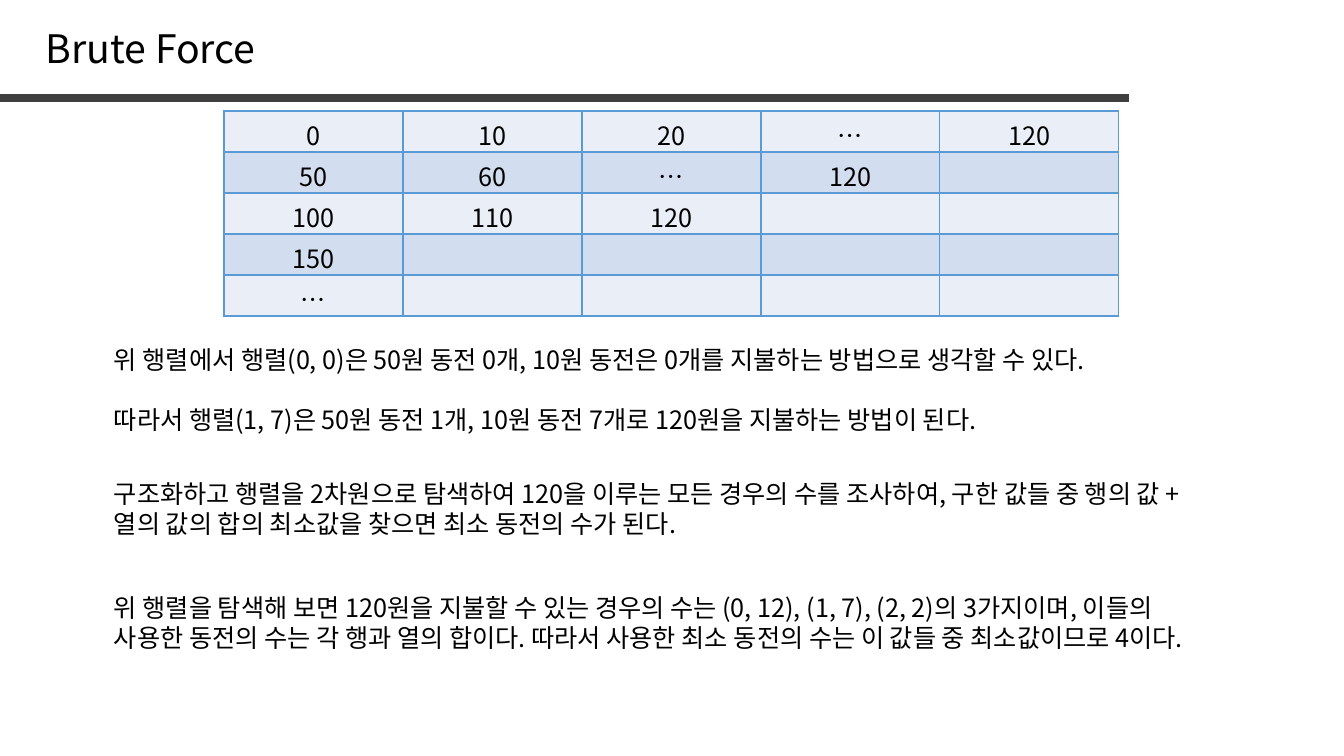
from lxml.etree import SubElement
from pptx import Presentation
from pptx.dml.color import RGBColor
from pptx.enum.shapes import MSO_CONNECTOR as Connector
from pptx.enum.text import MSO_AUTO_SIZE as AutoSize, PP_ALIGN as Align
from pptx.oxml.ns import qn
from pptx.util import Emu, Pt

EMU_PER_INCH, PX_PER_INCH = 914400, 100.8
FONT = "Noto Sans CJK KR"
BLACK, RULE_GREY, GRID_BLUE = "000000", "404040", "5B9BD5"
BANDS = ("EAEFF7", "D2DEEF")

COIN_SUMS = [
    ["0", "10", "20", "…", "120"],
    ["50", "60", "…", "120", ""],
    ["100", "110", "120", "", ""],
    ["150", "", "", "", ""],
    ["…", "", "", "", ""],
]
# Top, height and paragraphs of each explanation
EXPLANATIONS = [
    (339, 102, [
        "위 행렬에서 행렬(0, 0)은 50원 동전 0개, 10원 동전은 0개를 지불하는 방법으로 생각할 수 있다.",
        "따라서 행렬(1, 7)은 50원 동전 1개, 10원 동전 7개로 120원을 지불하는 방법이 된다.",
    ]),
    (473, 72, [
        "구조화하고 행렬을 2차원으로 탐색하여 120을 이루는 모든 경우의 수를 조사하여, "
        "구한 값들 중 행의 값 + 열의 값의 합의 최소값을 찾으면 최소 동전의 수가 된다.",
    ]),
    (587, 72, [
        "위 행렬을 탐색해 보면 120원을 지불할 수 있는 경우의 수는 (0, 12), (1, 7), (2, 2)의 3가지이며, "
        "이들의 사용한 동전의 수는 각 행과 열의 합이다. "
        "따라서 사용한 최소 동전의 수는 이 값들 중 최소값이므로 4이다.",
    ]),
]


def px(length):
    return Emu(round(length * EMU_PER_INCH / PX_PER_INCH))


def color(hex_string):
    return RGBColor.from_string(hex_string)


def add_run(paragraph, text, size):
    run = paragraph.add_run()
    run.text = text
    run.font.size = Pt(size)
    run.font.name = FONT
    run.font.color.rgb = color(BLACK)
    SubElement(run.font._element, qn("a:ea"), typeface=FONT)


def add_text(slide, box, paragraphs, size, wrap=True, gap=0):
    frame = slide.shapes.add_textbox(*map(px, box)).text_frame
    frame.word_wrap = wrap
    frame.auto_size = AutoSize.SHAPE_TO_FIT_TEXT
    for index, text in enumerate(paragraphs):
        paragraph = frame.add_paragraph() if index else frame.paragraphs[0]
        if index:
            paragraph.space_before = Pt(gap)
        add_run(paragraph, text, size)


def add_header(slide, left, top, width, height):
    # Rule under the title
    bottom = px(top + height)
    rule = slide.shapes.add_connector(
        Connector.STRAIGHT, px(left), bottom, px(left + width), bottom)
    rule.line.color.rgb = color(RULE_GREY)
    rule.line.width = Pt(6)
    SubElement(rule._element.spPr, qn("a:effectLst"))
    # Title
    add_text(slide, (left + 36, top + 19, 238, 57), ["Brute Force"], 28, wrap=False)


def style_cell(cell, fill):
    cell.fill.solid()
    cell.fill.fore_color.rgb = color(fill)
    properties = cell._tc.get_or_add_tcPr()
    for index, side in enumerate(("lnL", "lnR", "lnT", "lnB")):
        border = properties.makeelement(qn(f"a:{side}"), {"w": str(Pt(1))})
        paint = SubElement(border, qn("a:solidFill"))
        SubElement(paint, qn("a:srgbClr"), val=GRID_BLUE)
        properties.insert(index, border)


def add_sum_matrix(slide, left, top, width, height):
    row_count, column_count = len(COIN_SUMS), len(COIN_SUMS[0])
    matrix = slide.shapes.add_table(
        row_count, column_count, px(left), px(top), px(width), px(height)).table
    for row in matrix.rows:
        row.height = px(height / row_count)
    for r, sums in enumerate(COIN_SUMS):
        for c, coin_sum in enumerate(sums):
            cell = matrix.cell(r, c)
            style_cell(cell, BANDS[r % 2])
            if coin_sum:
                paragraph = cell.text_frame.paragraphs[0]
                paragraph.alignment = Align.CENTER
                add_run(paragraph, coin_sum, 18)


def add_explanations(slide, left, width):
    for top, height, paragraphs in EXPLANATIONS:
        add_text(slide, (left, top, width, height), paragraphs, 18, gap=21.6)


def main():
    deck = Presentation()
    deck.slide_width, deck.slide_height = px(1344), px(756)
    slide = deck.slides.add_slide(deck.slide_layouts[6])
    add_header(slide, 0, 0, 1129, 98)
    add_sum_matrix(slide, 224, 111, 895, 205)
    add_explanations(slide, 104, 1129)
    deck.save("out.pptx")


if __name__ == "__main__":
    main()
